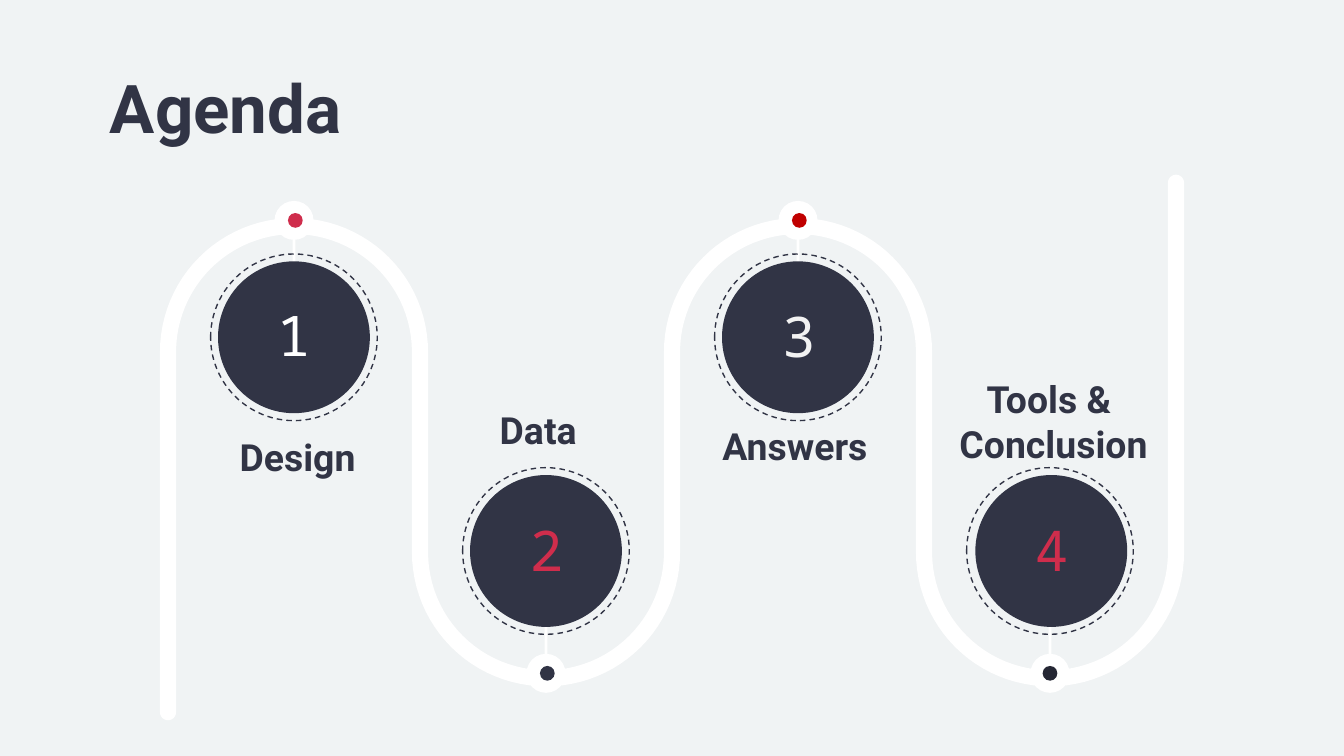
import math

import pptx
import pptx.dml.color
import pptx.enum.dml
import pptx.enum.shapes
import pptx.enum.text
import pptx.util
from pptx.util import Inches

COLORS = {
    "background": "F0F3F4",
    "navy": "313445",
    "ink": "252734",
    "white": "FFFFFF",
    "pale": "F2F2F2",
    "crimson": "CF2D4C",
    "red": "C00000",
}

# Slide and road geometry, in inches
SLIDE_WIDTH = 10
SLIDE_HEIGHT = SLIDE_WIDTH * 9 / 16
FIRST_X = 1.25
LANE = 15 / 8
BEND = LANE / 2
HALF_WIDTH = 0.06
TOP_BEND_Y, BOTTOM_BEND_Y = 2.62, 4.11
ROAD_START_Y, ROAD_END_Y = 5.30, 1.36

# Number, its colour and box (left, top, width, height), dot colour,
# dot and disc x offsets, label lines, label (left, top, width)
STOPS = [
    ("1", "white", (1.88, 2.29, 0.61, 0.4), "crimson", 0.01, 0,
     ["Design"], (1.35, 3.13, 1.73)),
    ("2", "crimson", (3.75, 3.87, 0.63, 0.43), "navy", 0.01, 0,
     ["Data"], (3.1, 2.93, 1.81)),
    ("3", "pale", (5.63, 2.28, 0.63, 0.43), "red", 0.01, 0,
     ["Answers "], (4.97, 3.05, 1.96)),
    ("4", "crimson", (7.51, 3.87, 0.63, 0.43), "ink", 0, 0.01,
     ["Tools & ", "Conclusion"], (6.86, 2.7, 1.96)),
]


def rgb(name):
    return pptx.dml.color.RGBColor.from_string(COLORS[name])


def paint(shape, color):
    shape.shadow.inherit = False
    shape.fill.solid()
    shape.fill.fore_color.rgb = rgb(color)
    shape.line.fill.background()


def add_circle(slide, x, y, diameter, color):
    circle = slide.shapes.add_shape(
        pptx.enum.shapes.MSO_SHAPE.OVAL,
        Inches(x - diameter / 2), Inches(y - diameter / 2),
        Inches(diameter), Inches(diameter))
    paint(circle, color)
    return circle


def add_dashed_ring(slide, x, y, diameter):
    ring = add_circle(slide, x, y, diameter, "navy")
    ring.fill.background()
    ring.line.color.rgb = rgb("navy")
    ring.line.width = pptx.util.Pt(0.75)
    ring.line.dash_style = pptx.enum.dml.MSO_LINE.DASH


def add_stem(slide, x, y):
    width, height = 0.02, 0.31
    stem = slide.shapes.add_shape(
        pptx.enum.shapes.MSO_SHAPE.ROUNDED_RECTANGLE,
        Inches(x - width / 2), Inches(y - height / 2),
        Inches(width), Inches(height))
    stem.adjustments[0] = 0.5
    paint(stem, "white")


def add_text(slide, box, lines, font, size, color, bold=False,
             align="LEFT", anchor="TOP"):
    frame = slide.shapes.add_textbox(*map(Inches, box)).text_frame
    frame.word_wrap = True
    frame.vertical_anchor = getattr(pptx.enum.text.MSO_ANCHOR, anchor)
    frame.margin_left = frame.margin_right = Inches(0.1)
    frame.margin_top = frame.margin_bottom = Inches(0.1)
    frame.text = "\n".join(lines)
    for paragraph in frame.paragraphs:
        paragraph.alignment = getattr(pptx.enum.text.PP_ALIGN, align)
        paragraph.font.name = font
        paragraph.font.size = pptx.util.Pt(size)
        paragraph.font.bold = bold
        paragraph.font.color.rgb = rgb(color)


def arc(x, y, radius, start, end, steps=48):
    angles = [math.radians(start + (end - start) * i / steps)
              for i in range(steps + 1)]
    return [(x + radius * math.cos(a), y + radius * math.sin(a)) for a in angles]


def stop_x(index):
    return FIRST_X + LANE * (index + 0.5)


def road_edge(offset):
    """Points along the road, shifted sideways from its centre line."""
    points = []
    for index in range(len(STOPS)):
        if index % 2 == 0:
            points += arc(stop_x(index), TOP_BEND_Y, BEND + offset, 180, 360)
        else:
            points += arc(stop_x(index), BOTTOM_BEND_Y, BEND - offset, 180, 0)
    return points


def add_road(slide):
    last_x = FIRST_X + LANE * len(STOPS)
    outline = (road_edge(HALF_WIDTH)
               + arc(last_x, ROAD_END_Y, HALF_WIDTH, 180, 360, 12)
               + road_edge(-HALF_WIDTH)[::-1]
               + arc(FIRST_X, ROAD_START_Y, HALF_WIDTH, 0, 180, 12))
    points = [(Inches(x), Inches(y)) for x, y in outline]
    builder = slide.shapes.build_freeform(*points[0])
    builder.add_line_segments(points[1:], close=True)
    paint(builder.convert_to_shape(), "white")


def add_stop(slide, index, stop):
    (number, number_color, number_box, dot_color, dot_shift, disc_shift,
     label, (left, top, width)) = stop
    x = stop_x(index)
    # Upper stops hang from the road, lower stops stand on it
    disc_y, stem_y, marker_y = (
        (2.51, 1.93, 1.64) if index % 2 == 0 else (4.10, 4.73, 5.01))
    add_stem(slide, x, stem_y)
    add_circle(slide, x, marker_y, 0.29, "white")
    add_circle(slide, x + dot_shift, marker_y, 0.11, dot_color)
    add_circle(slide, x + disc_shift, disc_y, 1.13, "navy")
    add_dashed_ring(slide, x, disc_y, 1.24)
    add_text(slide, number_box, [number], "Noto Sans Mono", 30, number_color,
             align="CENTER", anchor="MIDDLE")
    add_text(slide, (left, top, width, 0.43), label,
             "Roboto", 20, "navy", bold=True, align="CENTER")


def main():
    presentation = pptx.Presentation()
    presentation.slide_width = Inches(SLIDE_WIDTH)
    presentation.slide_height = Inches(SLIDE_HEIGHT)
    slide = presentation.slides.add_slide(presentation.slide_layouts[6])
    slide.background.fill.solid()
    slide.background.fill.fore_color.rgb = rgb("background")

    # Title
    add_text(slide, (0.72, 0.39, 8.44, 0.67), ["Agenda"],
             "Roboto", 36, "navy", bold=True)

    # Winding road with its four stops
    add_road(slide)
    for index, stop in enumerate(STOPS):
        add_stop(slide, index, stop)

    presentation.save("out.pptx")


if __name__ == "__main__":
    main()
